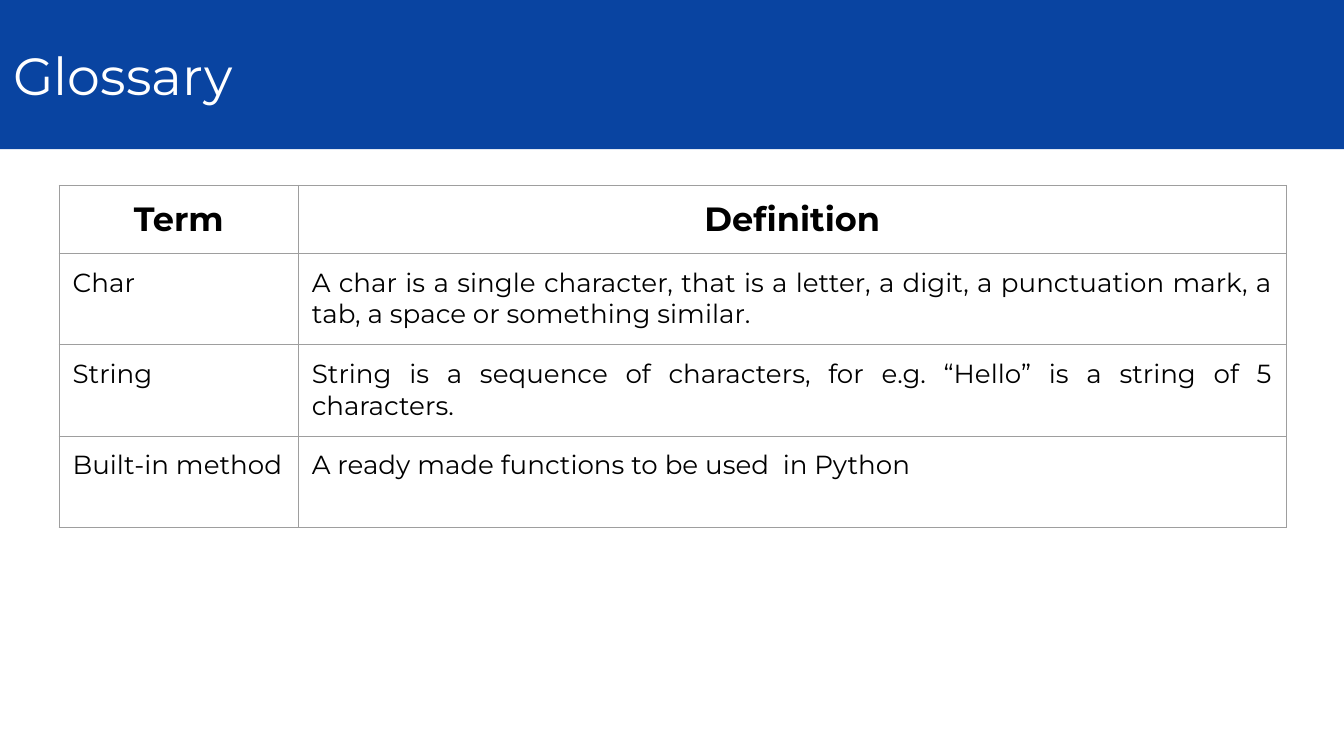
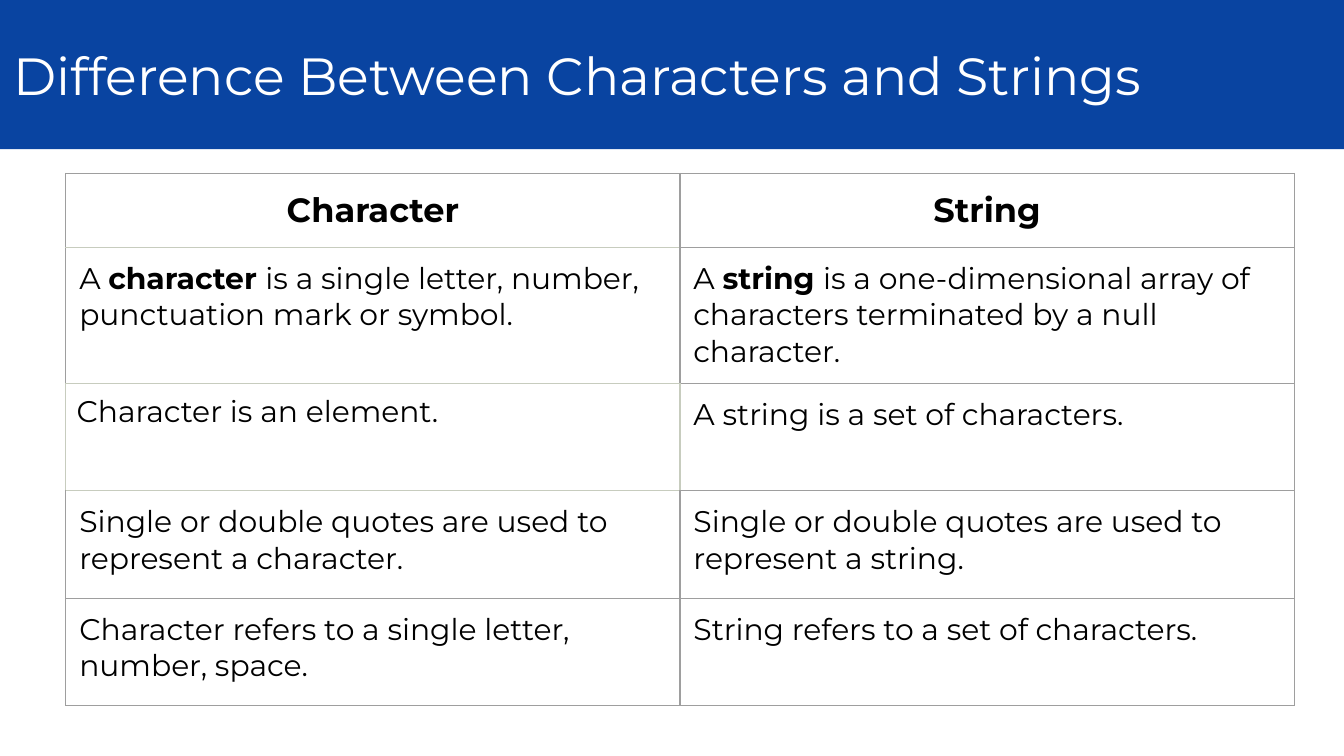
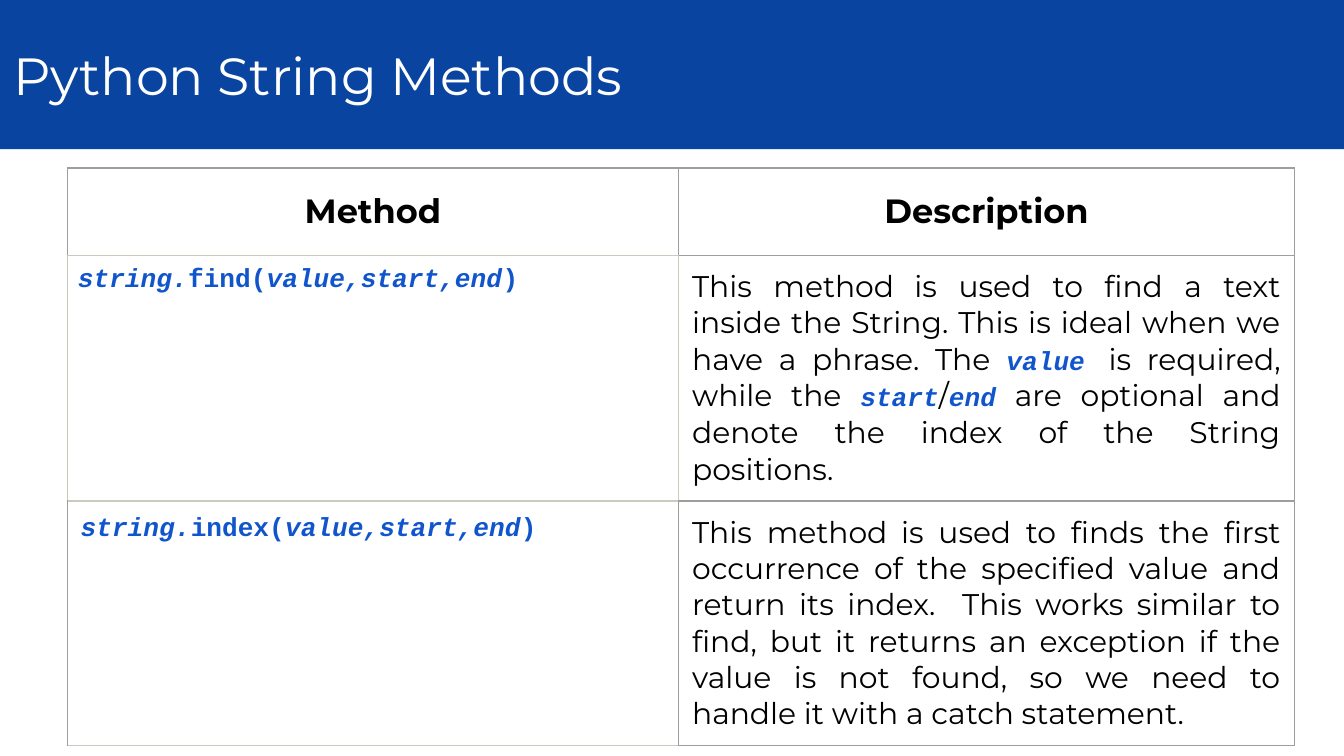
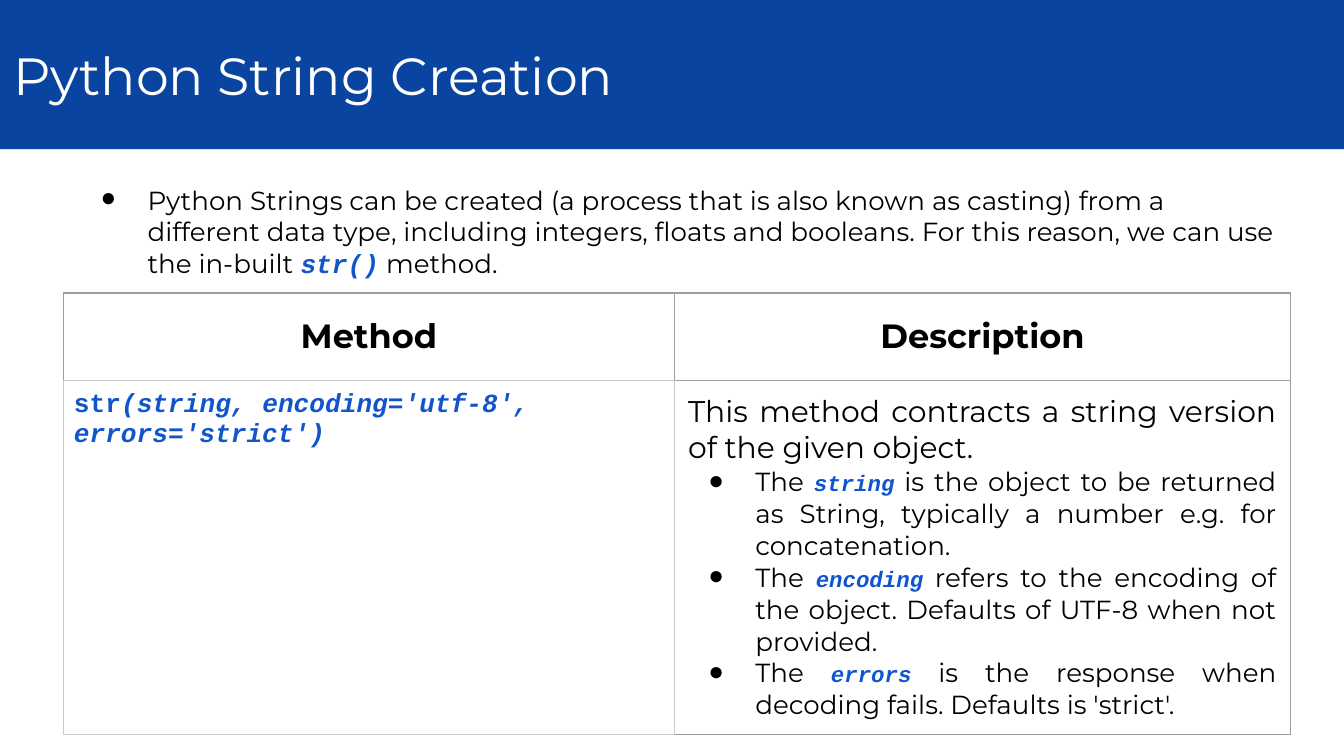
"""Build four slides on Python characters, strings and string methods."""
from dataclasses import dataclass

from lxml.etree import SubElement
from pptx import Presentation
from pptx.dml.color import RGBColor
from pptx.enum.text import MSO_ANCHOR, MSO_AUTO_SIZE, PP_ALIGN
from pptx.oxml.ns import qn
from pptx.util import Inches, Pt

PAGES = [
    {
        "title": "Glossary",
        "at": (0.44, 1.38),
        "columns": (1.78, 7.35),
        "heights": (0.48, 0.68, 0.68, 0.68),
        "header": ("Term", "Definition"),
        "rows": [
            (
                [("left", ("small", "Char"))],
                [("justify", ("small", "A char is a single character, that is a letter, a digit, "
                              "a punctuation mark, a tab, a space or something similar. "))],
            ),
            (
                [("left", ("small", "String"))],
                [("justify", ("small", "String is a sequence of characters, for e.g. “Hello” "
                              "is a string of 5 characters."))],
            ),
            (
                [("left", ("small", "Built-in method"))],
                [("justify", ("small", "A ready made functions to be used  in Python"))],
            ),
        ],
        "soft_sides": {},
    },
    {
        "title": "Difference Between Characters and Strings",
        "at": (0.49, 1.29),
        "columns": (4.57, 4.57),
        "heights": (0.55, 1, 0.8, 0.8, 0.8),
        "header": ("Character", "String"),
        "rows": [
            (
                [("left", ("body", "A "), ("strong", "character "),
                  ("body", "is a single letter, number, punctuation mark or symbol."))],
                [("left", ("body", "A "), ("strong", "string "),
                  ("body", "is a one-dimensional array of characters terminated "
                   "by a null character."))],
            ),
            (
                [("left", ("body", "Character is an element."))],
                [("left", ("body", "A string is a set of characters."))],
            ),
            (
                [("left", ("body", "Single or double quotes are used to represent a character."))],
                [("left", ("body", "Single or double quotes are used to represent a string."))],
            ),
            (
                [("left", ("body", "Character refers to a single letter, number, space."))],
                [("left", ("body", "String refers to a set of characters."))],
            ),
        ],
        "soft_sides": {(0, 0): "B", (1, 0): "TB", (2, 0): "LRTB", (2, 1): "L", (3, 0): "T"},
    },
    {
        "title": "Python String Methods",
        "at": (0.5, 1.25),
        "columns": (4.55, 4.58),
        "heights": (0.65, 0.95, 0.96),
        "header": ("Method", "Description"),
        "rows": [
            (
                [("left", ("code", "string."), ("call", "find("),
                  ("code", "value,start,end"), ("call", ")"))],
                [("justify", ("body", "This method"), ("gap", " "),
                  ("body", "is used to find a text inside the String. This is ideal when "
                   "we have a phrase. The "),
                  ("code", "value "), ("body", "is required, while the "),
                  ("code", "start"), ("body", "/"), ("code", "end"),
                  ("body", " are optional and denote the index of the String positions."))],
            ),
            (
                [("left", ("code", "string."), ("call", "index("),
                  ("code", "value,start,end"), ("call", ")"))],
                [("justify", ("body", "This method"), ("gap", " "),
                  ("body", "is used to finds the first occurrence of the specified value and "
                   "return its index.  This works similar to find, but it returns an "
                   "exception if the value is not found, so we need to handle it with a "
                   "catch statement. "))],
            ),
        ],
        "soft_sides": {(0, 0): "B", (1, 0): "LRTB", (1, 1): "L", (2, 0): "TB"},
    },
    {
        "title": "Python String Creation",
        "at": (0.47, 2.18),
        "columns": (4.55, 4.58),
        "heights": (0.65, 0.95),
        "header": ("Method", "Description"),
        "rows": [
            (
                [("left", ("call", "str"),
                  ("code", "(string, encoding='utf-8', errors='strict')"))],
                [
                    ("justify", ("body", "This method contracts a string version "
                                 "of the given object.")),
                    ("justify bullet", ("small", "The "), ("small code", "string"),
                     ("small", " is the object to be returned as String, typically a number "
                      "e.g. for concatenation.")),
                    ("justify bullet", ("small", "The "), ("small code", "encoding"),
                     ("small", " refers to the encoding of the object. Defaults of UTF-8 "
                      "when not provided.")),
                    ("justify bullet", ("small", "The "), ("small code", "errors"),
                     ("small", " is the response when decoding fails. "
                      "Defaults is 'strict'.")),
                ],
            ),
        ],
        "soft_sides": {(0, 0): "B", (1, 0): "LRTB", (1, 1): "L"},
        "intro": [
            ("left bullet",
             ("small", "Python Strings can be created (a process that is also known as "
              "casting) from a different data type, including integers, floats and "
              "booleans. For this reason, we can use the in-built "),
             ("code", "str()"), ("small", " method.")),
        ],
    },
]


@dataclass(frozen=True)
class Theme:
    """Colours, fonts, type sizes and insets."""
    band: str = "0944A1"
    white: str = "FFFFFF"
    ink: str = "000000"
    grey_ink: str = "273239"
    code_ink: str = "1155CC"
    rule: str = "9E9E9E"
    soft_rule: str = "C7CCBE"
    sans: str = "Montserrat"
    mono: str = "Courier New"
    rule_width: float = 0.75
    inset: float = 0.1
    tight_inset: float = 0.08


THEME = Theme()


def text_style(size, color=THEME.ink, name=THEME.sans, bold=False, italic=False):
    """Return the format values of one run style."""
    return {"size": Pt(size), "name": name, "bold": bold, "italic": italic, "color": color}


STYLES = {
    "title": text_style(28, THEME.white),
    "head": text_style(18, bold=True),
    "body": text_style(16),
    "strong": text_style(16, bold=True),
    "small": text_style(14),
    "gap": text_style(13, THEME.grey_ink),
    "code": text_style(14, THEME.code_ink, THEME.mono, True, True),
    "call": text_style(14, THEME.code_ink, THEME.mono, True),
    "small code": text_style(12, THEME.code_ink, THEME.mono, True, True),
}
ALIGNMENTS = {"left": PP_ALIGN.LEFT, "center": PP_ALIGN.CENTER, "justify": PP_ALIGN.JUSTIFY}


def apply(target, values):
    """Set each attribute of the target from a dict."""
    for name, value in values.items():
        setattr(target, name, value)


def margins(inset):
    """Return four equal margins."""
    return {f"margin_{side}": Inches(inset) for side in ("left", "top", "right", "bottom")}


def add_bullet(para):
    """Give the paragraph a hanging round bullet."""
    props = para._p.get_or_add_pPr()
    props.set("marL", str(Inches(0.5)))
    props.set("indent", str(Inches(-0.35)))
    color = SubElement(props, qn("a:buClr"))
    SubElement(color, qn("a:srgbClr"), val=THEME.ink)
    SubElement(props, qn("a:buFont"), typeface=THEME.mono)
    SubElement(props, qn("a:buChar"), char="●")


def write(frame, paragraphs):
    """Fill a text frame with aligned paragraphs of styled runs."""
    for index, (layout, *spans) in enumerate(paragraphs):
        para = frame.add_paragraph() if index else frame.paragraphs[0]
        alignment, *bullet = layout.split()
        if bullet:
            add_bullet(para)
        para.alignment = ALIGNMENTS[alignment]
        for style, text in spans:
            span = para.add_run()
            span.text = text
            values = dict(STYLES[style])
            span.font.color.rgb = RGBColor.from_string(values.pop("color"))
            apply(span.font, values)


def add_borders(cell, soft_sides):
    """Draw the four cell borders, the soft sides in a lighter colour."""
    props = cell._tc.get_or_add_tcPr()
    for side in "LRTB":
        line = SubElement(props, qn(f"a:ln{side}"), w=str(Pt(THEME.rule_width)))
        fill = SubElement(line, qn("a:solidFill"))
        color = THEME.soft_rule if side in soft_sides else THEME.rule
        SubElement(fill, qn("a:srgbClr"), val=color)


def add_title(page, text):
    """Turn the title placeholder into the blue band."""
    band = page.shapes.title
    apply(band, {"left": 0, "top": 0, "width": Inches(10), "height": Inches(1.11)})
    band.fill.solid()
    band.fill.fore_color.rgb = RGBColor.from_string(THEME.band)
    apply(band.text_frame, {"vertical_anchor": MSO_ANCHOR.MIDDLE, "word_wrap": True,
                            "auto_size": MSO_AUTO_SIZE.NONE, **margins(THEME.inset)})
    write(band.text_frame, [("left", ("title", text))])


def add_grid(page, content):
    """Add the ruled table with its centred header row."""
    columns, heights = content["columns"], content["heights"]
    header = [[("center", ("head", label))] for label in content["header"]]
    rows = [header, *content["rows"]]
    left, top = content["at"]
    table = page.shapes.add_table(len(rows), len(columns), Inches(left), Inches(top),
                                  Inches(sum(columns)), Inches(sum(heights))).table
    apply(table, {"first_row": False, "horz_banding": False})
    for column, width in zip(table.columns, columns):
        column.width = Inches(width)
    for row, height in zip(table.rows, heights):
        row.height = Inches(height)
    for row_index, row in enumerate(rows):
        for column_index, paragraphs in enumerate(row):
            cell = table.cell(row_index, column_index)
            soft_sides = content["soft_sides"].get((row_index, column_index), "")
            add_borders(cell, soft_sides)
            cell.fill.background()
            inset = THEME.tight_inset if soft_sides == "LRTB" else THEME.inset
            anchor = MSO_ANCHOR.TOP if row_index else MSO_ANCHOR.MIDDLE
            apply(cell, {"vertical_anchor": anchor, **margins(inset)})
            write(cell.text_frame, paragraphs)


def add_intro(page, paragraphs):
    """Add the bulleted text above the table."""
    box = page.shapes.add_textbox(Inches(0.5), Inches(1.27), Inches(9.13), Inches(0.91))
    apply(box.text_frame, {"word_wrap": True, "auto_size": MSO_AUTO_SIZE.SHAPE_TO_FIT_TEXT,
                           **margins(THEME.inset)})
    write(box.text_frame, paragraphs)


def main():
    """Build and save the deck."""
    deck = Presentation()
    apply(deck, {"slide_width": Inches(10), "slide_height": Inches(10) * 9 // 16})
    for content in PAGES:
        page = deck.slides.add_slide(deck.slide_layouts[5])
        add_title(page, content["title"])
        add_grid(page, content)
        if "intro" in content:
            add_intro(page, content["intro"])
    deck.save("out.pptx")


if __name__ == "__main__":
    main()
